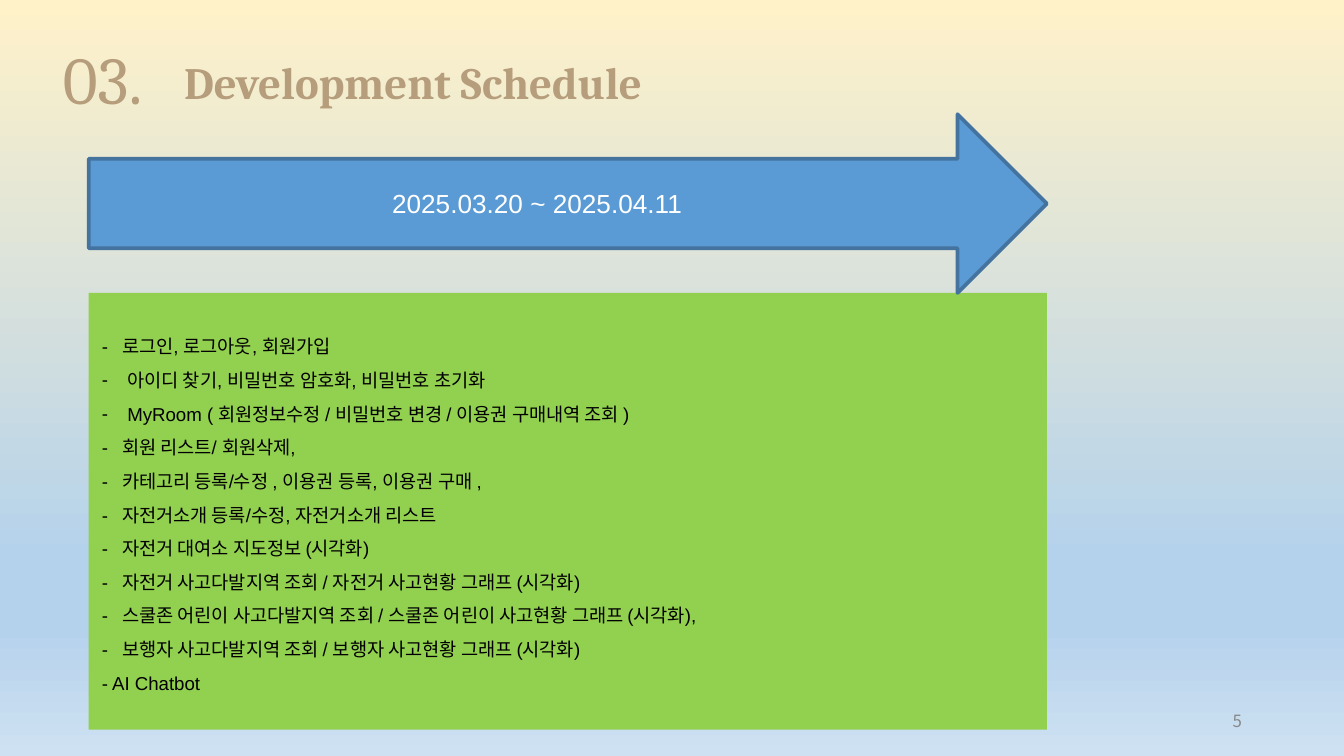
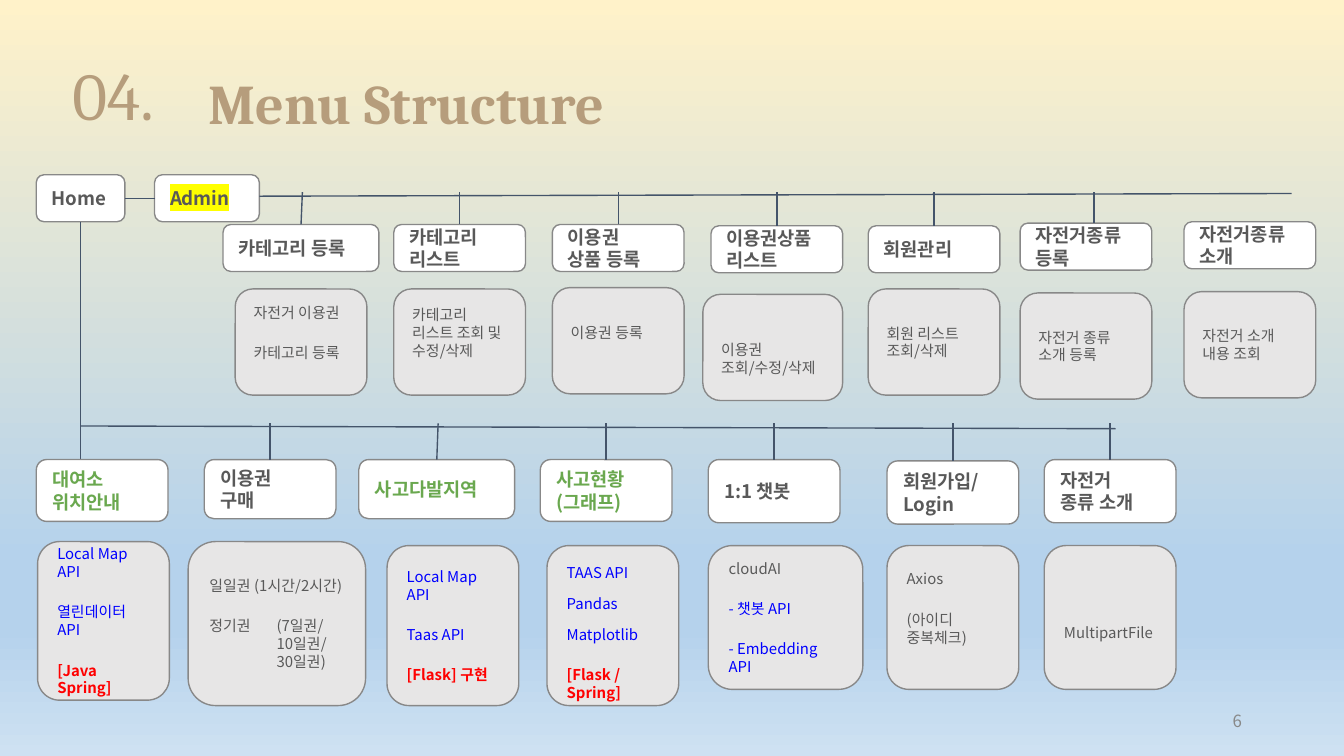
from copy import deepcopy

from lxml import etree
from pptx import Presentation
from pptx.dml.color import RGBColor
from pptx.enum.shapes import MSO_CONNECTOR, MSO_SHAPE
from pptx.enum.text import MSO_ANCHOR, PP_ALIGN
from pptx.oxml.ns import qn
from pptx.util import Inches, Pt

LEFT, CENTER, RIGHT = PP_ALIGN.LEFT, PP_ALIGN.CENTER, PP_ALIGN.RIGHT
TOP, MIDDLE = MSO_ANCHOR.TOP, MSO_ANCHOR.MIDDLE
RECT, ROUND, ARROW = MSO_SHAPE.RECTANGLE, MSO_SHAPE.ROUNDED_RECTANGLE, MSO_SHAPE.RIGHT_ARROW
STRAIGHT = MSO_CONNECTOR.STRAIGHT
SIDE_TOP, SIDE_LEFT, SIDE_BOTTOM, SIDE_RIGHT = range(4)

SERIF, SANS, KOREAN = "Cambria", "Arial", "Noto Sans CJK KR"
TAN, GREY, MID_GREY, PALE = "B69D7C", "595959", "888888", "E7E6E6"
WHITE, BLACK, NAVY = "FFFFFF", "000000", "44546A"
GREEN, BLUE, RED, YELLOW = "6AA84F", "0000FF", "FF0000", "FFFF00"
SKY = [(0, "FFF2C9"), (0.74, "B5D2EC"), (0.83, "B5D2EC"), (1, "CEE1F2")]


def rgb(value):
    return RGBColor.from_string(value)


class Deck:
    def __init__(self):
        self.prs = Presentation()
        # 16:9 page
        self.prs.slide_width = Inches(10)
        self.prs.slide_height = Inches(10) * 9 // 16
        self.s = None

    def slide(self):
        self.s = self.prs.slides.add_slide(self.prs.slide_layouts[6])
        fill = self.s.background.fill
        fill.gradient()
        fill.gradient_angle = 270
        stops = self.s.element.find(".//" + qn("a:gsLst"))
        while len(stops) < len(SKY):
            stops.append(deepcopy(stops[0]))
        for stop, (position, color) in zip(fill.gradient_stops, SKY):
            stop.position = position
            stop.color.rgb = rgb(color)

    def frame(self, sp, insets, anchor=TOP):
        tf = sp.text_frame
        tf.word_wrap = True
        tf.vertical_anchor = anchor
        tf.margin_left, tf.margin_top, tf.margin_right, tf.margin_bottom = map(Inches, insets)
        return tf

    def style(self, p, size, color, font=KOREAN, bold=False, align=LEFT):
        p.alignment = align
        for r in p.runs:
            r.font.size, r.font.name, r.font.bold = Pt(size), font, bold
            r.font.color.rgb = rgb(color)
            latin = r.font._element.find(qn("a:latin"))
            latin.addnext(etree.Element(qn("a:ea"), typeface=KOREAN))
        for br in p._p.findall(qn("a:br")):
            etree.SubElement(br, qn("a:rPr"), sz=str(size * 100))

    def text(self, text, box, size, color, font, bold=False, align=LEFT,
             anchor=TOP, insets=(0.07, 0.04, 0.07, 0.04)):
        sp = self.s.shapes.add_textbox(*map(Inches, box))
        tf = self.frame(sp, insets, anchor)
        tf.text = text
        self.style(tf.paragraphs[0], size, color, font, bold, align)

    def heading(self, number, number_box, title, title_box, size):
        self.text(title, title_box, size, TAN, SERIF, bold=True)
        self.text(number, number_box, 36, TAN, SERIF, insets=(0.1,) * 4)

    def page_number(self, number):
        self.text(str(number), (7.06, 5.21, 2.25, 0.3), 9, MID_GREY, KOREAN,
                  align=RIGHT, anchor=MIDDLE)

    def shape(self, kind, box, fill, line=None, width=0.75):
        sp = self.s.shapes.add_shape(kind, *map(Inches, box))
        sp.shadow.inherit = False
        sp.fill.solid()
        sp.fill.fore_color.rgb = rgb(fill)
        if line:
            sp.line.color.rgb = rgb(line)
            sp.line.width = Pt(width)
        else:
            sp.line.fill.background()
        return sp

    def label(self, text, box, color=GREY, highlight=None):
        """White menu button with a bold name."""
        sp = self.shape(ROUND, box, WHITE, MID_GREY)
        tf = self.frame(sp, (0.1, 0, 0.1, 0), MIDDLE)
        tf.text = text
        p = tf.paragraphs[0]
        self.style(p, 10, color, bold=True)
        if highlight:
            mark = etree.Element(qn("a:highlight"))
            etree.SubElement(mark, qn("a:srgbClr"), val=highlight)
            p.runs[0].font._element.find(qn("a:solidFill")).addnext(mark)
        return sp

    def detail(self, items, box, shift=0):
        """Grey card; shift moves the text down (or up) from the middle."""
        sp = self.shape(ROUND, box, PALE, MID_GREY)
        insets = (0.1, max(2 * shift, 0), 0.1, max(-2 * shift, 0))
        tf = self.frame(sp, insets, MIDDLE)
        for i, (text, color, gap) in enumerate(items):
            p = tf.add_paragraph() if i else tf.paragraphs[0]
            p.text = text
            if i:
                p.space_before = Pt(gap)
            if "\t" in text:
                tabs = etree.SubElement(p._p.get_or_add_pPr(), qn("a:tabLst"))
                etree.SubElement(tabs, qn("a:tab"), pos=str(Inches(0.5)), algn="l")
            self.style(p, 8, color, bold=color == RED)

    def task_list(self, items, box, fill, insets):
        """Hanging list; a line with its own typed dash gets no bullet."""
        sp = self.shape(RECT, box, fill)
        tf = self.frame(sp, insets)
        for i, text in enumerate(items):
            p = tf.add_paragraph() if i else tf.paragraphs[0]
            p.text = text
            p.line_spacing = 1.5
            typed = text.startswith("-")
            indent = Inches(0.15 if typed else 0.19)
            pPr = p._p.get_or_add_pPr()
            pPr.set("marL", str(indent))
            pPr.set("indent", str(-indent))
            if not typed:
                color = etree.SubElement(pPr, qn("a:buClr"))
                etree.SubElement(color, qn("a:srgbClr"), val=BLACK)
                etree.SubElement(pPr, qn("a:buFont"), typeface=SANS)
                etree.SubElement(pPr, qn("a:buChar"), char="-")
            self.style(p, 10, BLACK, SANS)

    def line(self, x1, y1, x2, y2, begin=None, end=None):
        cx = self.s.shapes.add_connector(STRAIGHT, *map(Inches, (x1, y1, x2, y2)))
        cx.line.color.rgb = rgb(NAVY)
        cx.line.width = Pt(0.75)
        etree.SubElement(cx._element.spPr, qn("a:effectLst"))
        if begin:
            cx.begin_connect(*begin)
        if end:
            cx.end_connect(*end)


def item(text, color=GREY, gap=12):
    return text, color, gap


TASKS = [
    "-\t로그인, 로그아웃, 회원가입",
    "아이디 찾기, 비밀번호 암호화, 비밀번호 초기화",
    "MyRoom ( 회원정보수정 / 비밀번호 변경 / 이용권 구매내역 조회 )",
    "-\t회원 리스트/ 회원삭제,",
    "-\t카테고리 등록/수정 , 이용권 등록, 이용권 구매 ,",
    "-\t자전거소개 등록/수정, 자전거소개 리스트",
    "-\t자전거 대여소 지도정보 (시각화)",
    "-\t자전거 사고다발지역 조회 / 자전거 사고현황 그래프 (시각화)",
    "-\t스쿨존 어린이 사고다발지역 조회 / 스쿨존 어린이 사고현황 그래프 (시각화),",
    "-\t보행자 사고다발지역 조회 / 보행자 사고현황 그래프 (시각화)",
    "- AI Chatbot",
]

# name, (left, top, width), card (left, top, width), text shift, tick x, items
ADMIN_MENU = [
    ("카테고리 등록", (1.66, 1.67, 1.16), (1.75, 2.15, 0.98), -0.07, 2.25,
     [item("자전거 이용권"), item("카테고리 등록")]),
    ("카테고리 리스트", (2.93, 1.67, 0.98), (2.93, 2.15, 0.98), -0.07, 3.42,
     [item("카테고리 리스트 조회 및 수정/삭제")]),
    ("이용권\v상품 등록", (4.11, 1.67, 0.98), (4.11, 2.14, 0.98), -0.06, 4.6,
     [item("이용권 등록")]),
    ("이용권상품 리스트", (5.29, 1.68, 0.98), (5.23, 2.19, 1.04), 0.08, 5.78,
     [item("이용권 조회/수정/삭제")]),
    ("회원관리", (6.46, 1.68, 0.98), (6.46, 2.15, 0.98), 0, 6.95,
     [item("회원 리스트 조회/삭제")]),
    ("자전거종류등록", (7.59, 1.66, 0.98), (7.59, 2.18, 0.98), 0, 8.14,
     [item("자전거 종류 소개 등록")]),
    ("자전거종류소개", (8.81, 1.65, 0.98), (8.81, 2.17, 0.98), 0, None,
     [item("자전거 소개 내용 조회")]),
]

# name, colour, (left, top, width, height), card box, text shift, tick x, items
USER_MENU = [
    ("대여소 위치안내", GREEN, (0.27, 3.42, 0.98, 0.46), (0.28, 4.03, 0.98, 1.18), 0, None,
     [item("Local Map API", BLUE), item("열린데이터 API", BLUE), item("[Java Spring]", RED)]),
    ("이용권\v구매", GREY, (1.52, 3.42, 0.98, 0.44), (1.4, 4.03, 1.32, 1.22), 0, 2.01,
     [item("일일권 (1시간/2시간)"), item("정기권\t(7일권/\v\t10일권/\v\t30일권)")]),
    ("사고다발지역", GREEN, (2.67, 3.42, 1.16, 0.44), (2.88, 4.06, 0.98, 1.19), 0, 3.26,
     [item("Local Map API", BLUE), item("Taas API", BLUE), item("[Flask] 구현", RED)]),
    ("사고현황 (그래프)", GREEN, (4.02, 3.42, 0.98, 0.46), (4.07, 4.06, 0.98, 1.19), 0.05, 4.51,
     [item("TAAS API", BLUE), item("Pandas", BLUE, 7), item("Matplotlib", BLUE, 7),
      item("[Flask / Spring]", RED)]),
    ("1:1 챗봇", GREY, (5.27, 3.42, 0.98, 0.47), (5.27, 4.06, 1.15, 1.07), 0, 5.76,
     [item("cloudAI"), item("- 챗봇 API", BLUE), item("- Embedding API", BLUE)]),
    ("회원가입/ Login", GREY, (6.6, 3.43, 0.98, 0.47), (6.6, 4.06, 0.98, 1.07), -0.07, 7.09,
     [item("Axios"), item("(아이디 중복체크)")]),
    ("자전거\v종류 소개", GREY, (7.77, 3.42, 0.98, 0.47), (7.77, 4.06, 0.98, 1.07), 0.11, 8.26,
     [item("MultipartFile")]),
]


def schedule(deck):
    deck.slide()
    deck.heading("03.", (0.37, 0.18, 0.86, 0.85),
                 "Development Schedule", (1.3, 0.37, 4.95, 0.48), 24)
    deck.task_list(TASKS, (0.66, 2.18, 7.13, 3.25), "92D050", (0.1, 0.23, 0.1, 0.05))

    # Period arrow
    sp = deck.shape(ARROW, (0.66, 0.85, 7.13, 1.33), "5B9BD5", "43739E", 2)
    tf = deck.frame(sp, (0.1, 0.05, 0.22, 0.05), MIDDLE)
    tf.text = "2025.03.20 ~ 2025.04.11"
    deck.style(tf.paragraphs[0], 14, WHITE, SANS, align=CENTER)
    deck.page_number(5)


def menu(deck):
    deck.slide()
    deck.heading("04.", (0.44, 0.3, 0.87, 0.77),
                 "Menu Structure", (1.48, 0.47, 5.66, 0.48), 30)

    # Roots and trunk lines
    home = deck.label("Home", (0.27, 1.3, 0.66, 0.35))
    admin = deck.label("Admin", (1.15, 1.3, 0.78, 0.35), highlight=YELLOW)
    deck.line(0.93, 1.48, 1.15, 1.48, (home, SIDE_RIGHT), (admin, SIDE_LEFT))
    deck.line(0.6, 1.65, 0.6, 3.42, (home, SIDE_BOTTOM))
    deck.line(1.93, 1.46, 9.61, 1.44)
    deck.line(0.6, 3.17, 8.3, 3.19)

    # Both menu rows: label, card and tick up to the trunk
    rows = [(name, GREY, (*top, 0.35), (*card, 0.79), shift, tick, items, 1.43)
            for name, top, card, shift, tick, items in ADMIN_MENU]
    rows += [(*entry, 3.15) for entry in USER_MENU]
    for name, color, box, card, shift, tick, items, trunk in rows:
        deck.detail(items, card, shift)
        sp = deck.label(name, box, color)
        if tick:
            centred = abs(box[0] + box[2] / 2 - tick) < 0.03
            deck.line(tick, box[1], tick, trunk, (sp, SIDE_TOP) if centred else None)
    deck.page_number(6)


def main():
    deck = Deck()
    schedule(deck)
    menu(deck)
    deck.prs.save("out.pptx")


if __name__ == "__main__":
    main()
